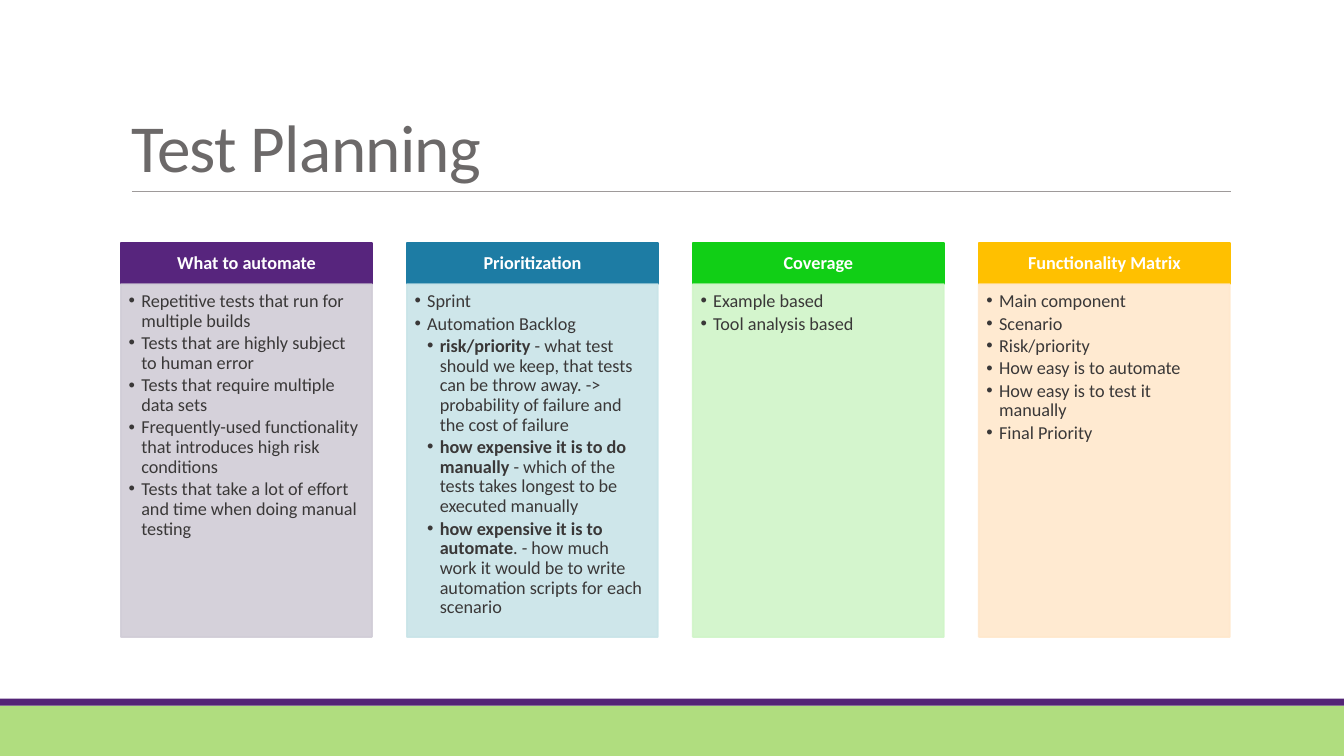
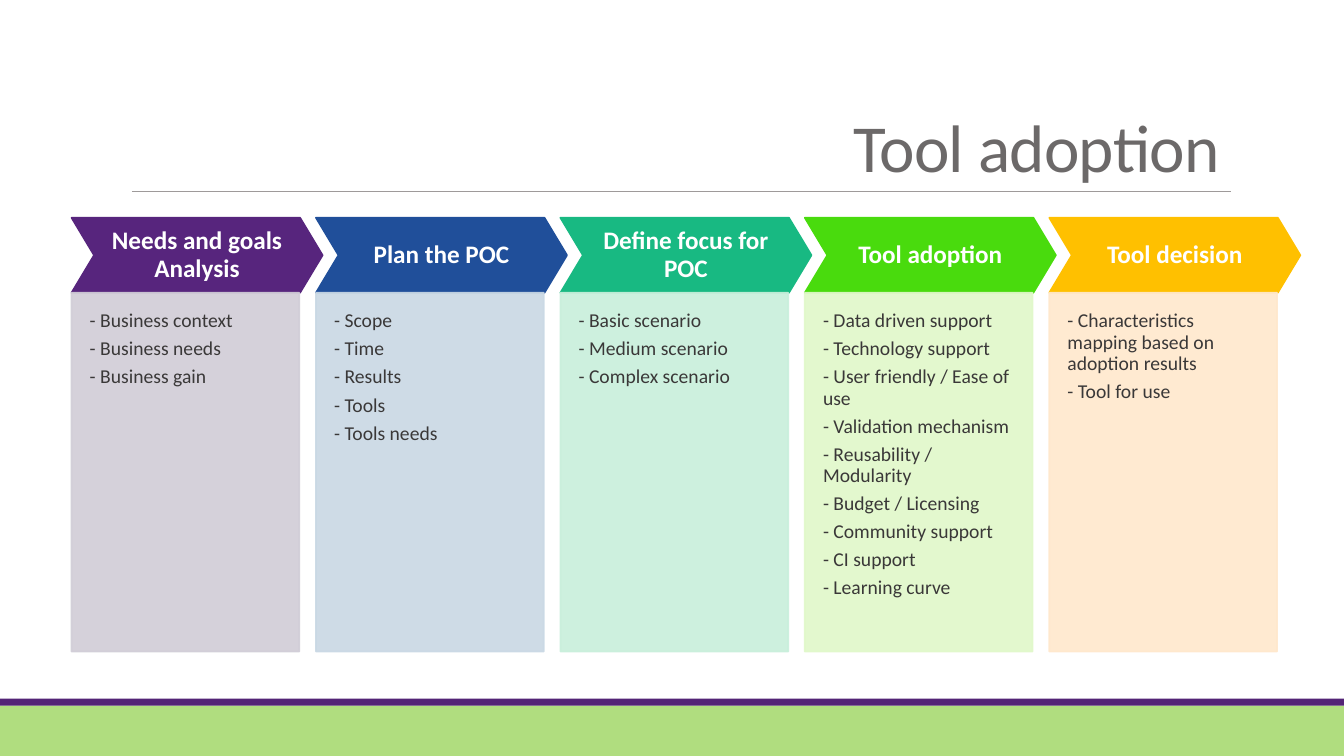
from lxml import etree
from pptx import Presentation
from pptx.dml.color import RGBColor
from pptx.enum.shapes import MSO_CONNECTOR, MSO_SHAPE
from pptx.enum.text import MSO_ANCHOR, MSO_AUTO_SIZE, PP_ALIGN
from pptx.oxml.ns import qn
from pptx.util import Pt

RECT, CHEVRON = MSO_SHAPE.RECTANGLE, MSO_SHAPE.CHEVRON
LINE = MSO_CONNECTOR.STRAIGHT
LEFT, CENTER, RIGHT = PP_ALIGN.LEFT, PP_ALIGN.CENTER, PP_ALIGN.RIGHT
TOP, MIDDLE, BOTTOM = MSO_ANCHOR.TOP, MSO_ANCHOR.MIDDLE, MSO_ANCHOR.BOTTOM

WHITE = RGBColor(0xFF, 0xFF, 0xFF)
INK = RGBColor(0x3A, 0x38, 0x38)
GREY = RGBColor(0x6C, 0x69, 0x69)
RULE = RGBColor(0x9E, 0x9A, 0x9A)
LIME = RGBColor(0xB0, 0xDD, 0x7F)
PLUM = RGBColor(0x53, 0x24, 0x76)
PURPLE = RGBColor(0x57, 0x25, 0x7D)
LILAC = RGBColor(0xD1, 0xCD, 0xD7)
TEAL = RGBColor(0x1D, 0x7C, 0xA4)
ICE = RGBColor(0xC9, 0xE4, 0xE8)
GREEN = RGBColor(0x11, 0xCF, 0x16)
MINT = RGBColor(0xD0, 0xF5, 0xC8)
AMBER = RGBColor(0xFF, 0xC0, 0x00)
CREAM = RGBColor(0xFF, 0xE8, 0xCC)
BLUE = RGBColor(0x20, 0x4F, 0x9A)
SKY = RGBColor(0xC9, 0xD8, 0xE4)
JADE = RGBColor(0x18, 0xB9, 0x82)
FOAM = RGBColor(0xC8, 0xEF, 0xDB)
LEAF = RGBColor(0x49, 0xDB, 0x0D)
PALE = RGBColor(0xE0, 0xF8, 0xC9)
FONT = "Calibri"

plan = [
    ("What to automate", PURPLE, LILAC, [
        "Repetitive tests that run for multiple builds",
        "Tests that are highly subject to human error",
        "Tests that require multiple data sets",
        "Frequently-used functionality that introduces high risk conditions",
        "Tests that take a lot of effort and time when doing manual testing"]),
    ("Prioritization", TEAL, ICE, [
        "Sprint",
        "Automation Backlog",
        ("risk/priority ", "- what test should we keep, that tests can be throw away. "
         "-> probability of failure and the cost of failure"),
        ("how expensive it is to do manually",
         " - which of the tests takes longest to be executed manually"),
        ("how expensive it is to automate",
         ". - how much work it would be to write automation scripts for each scenario")]),
    ("Coverage", GREEN, MINT, ["Example based", "Tool analysis based"]),
    ("Functionality Matrix", AMBER, CREAM, [
        "Main component", "Scenario", "Risk/priority", "How easy is to automate",
        "How easy is to test it manually", "Final Priority"]),
]
steps = [
    ("Needs and goals Analysis", PURPLE, LILAC, [
        "- Business context", "- Business needs", "- Business gain"]),
    ("Plan the POC", BLUE, SKY, [
        "- Scope", "- Time", "- Results", "- Tools", "- Tools needs"]),
    ("Define focus for POC", JADE, FOAM, [
        "- Basic scenario", "- Medium scenario", "- Complex scenario"]),
    ("Tool adoption", LEAF, PALE, [
        "- Data driven support", "- Technology support", "- User friendly / Ease of use",
        "- Validation mechanism", "- Reusability / Modularity", "- Budget / Licensing",
        "- Community support", "- CI support", "- Learning curve"]),
    ("Tool decision", AMBER, CREAM, [
        "- Characteristics mapping based on adoption results", "- Tool for use"]),
]
decks = [
    dict(title="Test Planning", align=LEFT, cards=plan, kind=RECT, bullet=True,
         left=86.4, step=204.25, top=173.5, head=(179.3, 29.5), body=(179.3, 252),
         size=13, text=13, after=1.95, pad=(7.2, 4.3, 7.2, 4.3), inset=(5.5, 5.5, 7.3, 8.2)),
    dict(title="Tool adoption", align=RIGHT, cards=steps, kind=CHEVRON, bullet=False,
         left=51.1, step=174.6, top=155.5, head=(179.3, 53.6), body=(162.7, 256.3),
         size=18, text=14, after=4.9, pad=(6.5,) * 4, inset=(13, 13, 13, 26)),
]


def box(slide, kind, left, top, wide, high, fill, pad=(0, 0, 0, 0), anchor=TOP):
    shape = slide.shapes.add_shape(kind, Pt(left), Pt(top), Pt(wide), Pt(high))
    shape.shadow.inherit = False
    shape.fill.solid()
    shape.fill.fore_color.rgb = fill
    shape.line.color.rgb = fill
    shape.line.width = Pt(1.25)
    frame = shape.text_frame
    frame.word_wrap = True
    frame.vertical_anchor = anchor
    frame.margin_left, frame.margin_top, frame.margin_right, frame.margin_bottom = map(Pt, pad)
    return shape


def style(para, size, color, align, space=0.9, after=0):
    para.alignment = align
    para.line_spacing = space
    para.space_after = Pt(after)
    for run in para.runs:
        run.font.name = FONT
        run.font.size = Pt(size)
        run.font.color.rgb = color


prs = Presentation()
prs.slide_width, prs.slide_height = Pt(960), Pt(540)
layout = prs.slide_layouts[5]
for holder in list(layout.placeholders):
    if holder.placeholder_format.idx:
        layout.shapes.element.remove(holder.element)
    else:
        holder.left, holder.top, holder.width, holder.height = map(Pt, (86.4, 22.3, 792, 114.5))
slides = [prs.slides.add_slide(layout) for deck in decks]

base = slides[0]
parts = []
for top, high, color in [(504, 36, LIME), (499, 5, PLUM)]:
    band = box(base, RECT, 0, top, 960, high, color)
    band.line.fill.background()
    parts.append(band)
rule = base.shapes.add_connector(LINE, Pt(94.3), Pt(136.8), Pt(879), Pt(136.8))
rule.line.color.rgb = RULE
rule.line.width = Pt(0.5)
etree.SubElement(rule.element.spPr, qn("a:effectLst"))
parts.append(rule)
for part in parts:
    layout.shapes.element.append(part.element)

for slide, deck in zip(slides, decks):
    frame = slide.shapes.title.text_frame
    frame.text = deck["title"]
    frame.vertical_anchor = BOTTOM
    frame.auto_size = MSO_AUTO_SIZE.NONE
    para = frame.paragraphs[0]
    style(para, 48, GREY, deck["align"], 0.85)
    para.runs[0].font.element.set("spc", "-50") if hasattr(para.runs[0].font, "element") else \
        para.runs[0].text and para.runs[0]._r.get_or_add_rPr().set("spc", "-50")

    for col, (name, dark, light, items) in enumerate(deck["cards"]):
        left = deck["left"] + col * deck["step"]
        wide, high = deck["head"]
        head = box(slide, deck["kind"], left, deck["top"], wide, high, dark, deck["pad"], MIDDLE)
        if deck["kind"] == CHEVRON:
            head.adjustments[0] = 0.3
        head.text_frame.text = name
        para = head.text_frame.paragraphs[0]
        style(para, deck["size"], WHITE, CENTER)
        para.runs[0].font.bold = True

        body = box(slide, RECT, left, deck["top"] + high, *deck["body"], light, deck["inset"])
        for color in body.element.spPr.iter(qn("a:srgbClr")):
            etree.SubElement(color, qn("a:alpha"), val="90000")
        frame = body.text_frame
        for row, item in enumerate(items):
            para = frame.add_paragraph() if row else frame.paragraphs[0]
            nested = isinstance(item, tuple)
            if nested:
                for part, bold in zip(item, (True, False)):
                    run = para.add_run()
                    run.text = part
                    run.font.bold = bold
            else:
                para.text = item
            style(para, deck["text"], INK, LEFT, after=deck["after"])
            if deck["bullet"]:
                para.level = 1 + nested
                props = para._p.get_or_add_pPr()
                props.set("marL", str(Pt(18 if nested else 9)))
                props.set("indent", str(-Pt(9)))
                etree.SubElement(props, qn("a:buFont"), typeface="Arial")
                etree.SubElement(props, qn("a:buChar"), char="•")

prs.save("out.pptx")
